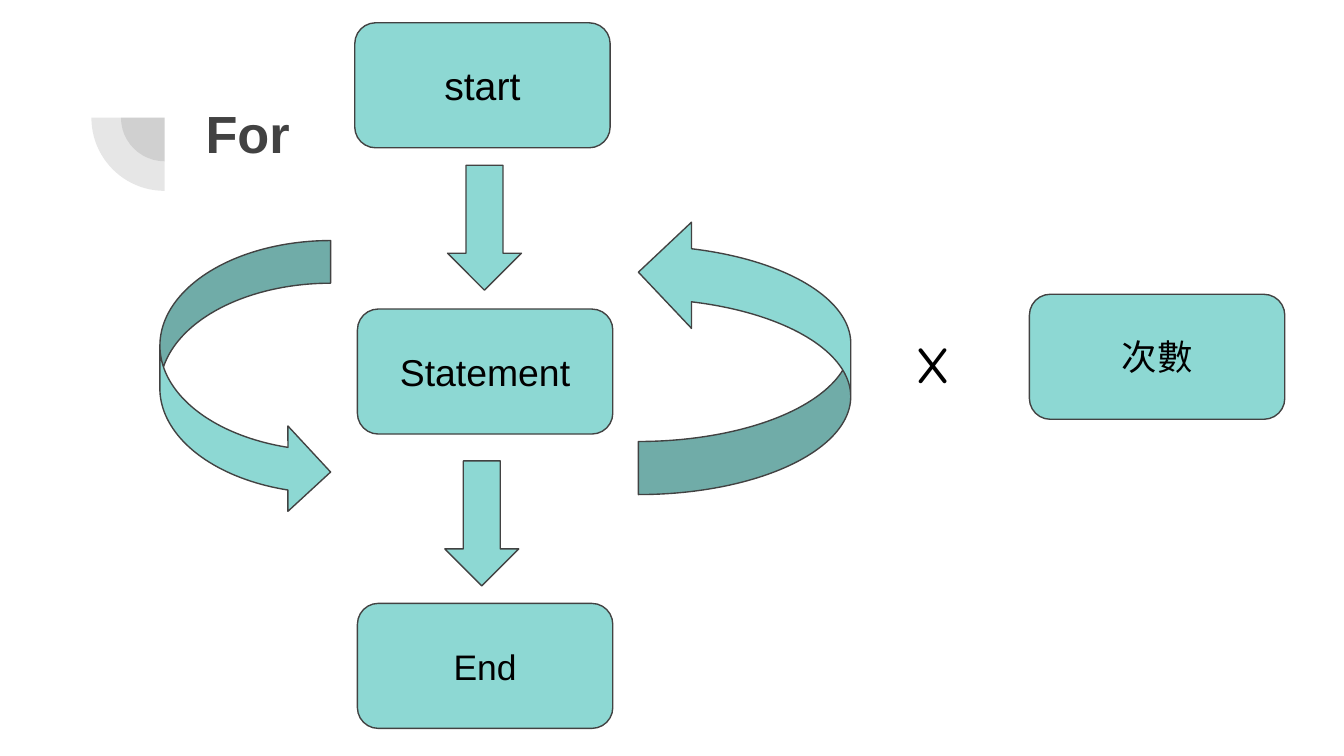
from dataclasses import dataclass

from lxml import etree
from pptx import Presentation
from pptx.dml.color import RGBColor
from pptx.enum.shapes import MSO_SHAPE
from pptx.enum.text import MSO_ANCHOR, MSO_AUTO_SIZE, PP_ALIGN
from pptx.oxml.ns import qn
from pptx.util import Inches, Pt

ROUNDED = MSO_SHAPE.ROUNDED_RECTANGLE
DOWN_ARROW = MSO_SHAPE.DOWN_ARROW
CURVED_ARROW = MSO_SHAPE.CURVED_RIGHT_ARROW
PIE = MSO_SHAPE.PIE
TOP, MIDDLE = MSO_ANCHOR.TOP, MSO_ANCHOR.MIDDLE
LEFT, CENTER = PP_ALIGN.LEFT, PP_ALIGN.CENTER
NO_FIT = MSO_AUTO_SIZE.NONE

COLUMNS, ROWS = 100, 56.25
CELL = Inches(10) / COLUMNS
TITLE_ONLY = 5


@dataclass(frozen=True)
class Theme:
    ink: RGBColor = RGBColor(0x42, 0x42, 0x42)
    accent: RGBColor = RGBColor(0x8D, 0xD8, 0xD3)
    text: RGBColor = RGBColor(0, 0, 0)
    font: str = "Arial"
    symbol_font: str = "Quicksand"
    title_size: int = 28
    start_size: int = 21
    statement_size: int = 20
    label_size: int = 19
    symbol_size: int = 36
    outline: float = 0.75
    inset: float = 0.1
    veil_percent: int = 13


THEME = Theme()


@dataclass(frozen=True)
class Box:
    """An area measured in grid columns and rows."""
    x: float
    y: float
    w: float
    h: float

    def inner(self, x, y, w, h):
        return Box(self.x + x, self.y + y, w, h)

    def emu(self):
        return [round(side * CELL) for side in (self.x, self.y, self.w, self.h)]


def write(holder, words, size, font=THEME.font, color=THEME.text,
          bold=False, align=LEFT, anchor=TOP):
    frame = holder.text_frame
    frame.text = words
    frame.word_wrap = True
    frame.auto_size = NO_FIT
    frame.vertical_anchor = anchor
    frame.margin_left = frame.margin_right = Inches(THEME.inset)
    frame.margin_top = frame.margin_bottom = Inches(THEME.inset)
    paragraph = frame.paragraphs[0]
    paragraph.alignment = align
    run_font = paragraph.runs[0].font
    run_font.name, run_font.size, run_font.bold = font, Pt(size), bold
    run_font.color.rgb = color


def add_outlined(slide, preset, box):
    shape = slide.shapes.add_shape(preset, *box.emu())
    shape.shadow.inherit = False
    shape.fill.solid()
    shape.fill.fore_color.rgb = THEME.accent
    shape.line.color.rgb = THEME.ink
    shape.line.width = Pt(THEME.outline)
    return shape


def add_step(slide, box, words, size):
    step = add_outlined(slide, ROUNDED, box)
    write(step, words, size, align=CENTER, anchor=MIDDLE)


def add_quarter(slide, box):
    """Translucent lower-left quarter of the circle that fills the box."""
    quarter = slide.shapes.add_shape(PIE, *box.emu())
    quarter.shadow.inherit = False
    # Angles of 90 and 180 degrees: 0.6 adjustment units per degree
    quarter.adjustments[0], quarter.adjustments[1] = 90 * 0.6, 180 * 0.6
    quarter.fill.solid()
    quarter.fill.fore_color.rgb = THEME.ink
    quarter.line.fill.background()
    color = quarter.element.spPr.find(qn("a:solidFill")).find(qn("a:srgbClr"))
    etree.SubElement(color, qn("a:alpha"), val=str(THEME.veil_percent * 1000))


def add_heading(slide, box):
    for offset, diameter in ((2.2, 6.5), (0, 10.9)):
        add_quarter(slide, box.inner(offset, offset, diameter, diameter))
    title = slide.shapes.title
    title.left, title.top, title.width, title.height = box.inner(7.5, 3.2, 76.9, 10.9).emu()
    write(title, "For", THEME.title_size, color=THEME.ink, bold=True)


def add_flow(slide, box):
    steps = (
        (0, 0, "start", THEME.start_size),
        (0.2, 21.3, "Statement", THEME.statement_size),
        (0.2, 43.2, "End", THEME.label_size),
    )
    for x, y, words, size in steps:
        add_step(slide, box.inner(x, y, 19, 9.3), words, size)
    for x, y in ((6.9, 10.6), (6.7, 32.6)):
        add_outlined(slide, DOWN_ARROW, box.inner(x, y, 5.5, 9.3))


def add_loop(slide, box):
    add_outlined(slide, CURVED_ARROW, box.inner(0, 1.6, 12.7, 20.4))
    back = add_outlined(slide, CURVED_ARROW, box.inner(35.6, 0, 15.8, 20.5))
    back.rotation = 180


def add_repeat_count(slide, box):
    times = slide.shapes.add_textbox(*box.inner(0, 0.6, 8.2, 8.1).emu())
    write(times, "x", THEME.symbol_size, font=THEME.symbol_font)
    add_step(slide, box.inner(9.4, 0, 19, 9.3), "次數", THEME.label_size)


def main():
    deck = Presentation()
    deck.slide_width = round(COLUMNS * CELL)
    deck.slide_height = round(ROWS * CELL)
    slide = deck.slides.add_slide(deck.slide_layouts[TITLE_ONLY])
    add_heading(slide, Box(6.8, 3.3, 84.4, 14.1))
    add_flow(slide, Box(26.4, 1.7, 19.2, 52.5))
    add_loop(slide, Box(11.9, 16.3, 51.4, 22))
    add_repeat_count(slide, Box(67.2, 21.9, 28.4, 9.3))
    deck.save("out.pptx")


if __name__ == "__main__":
    main()
